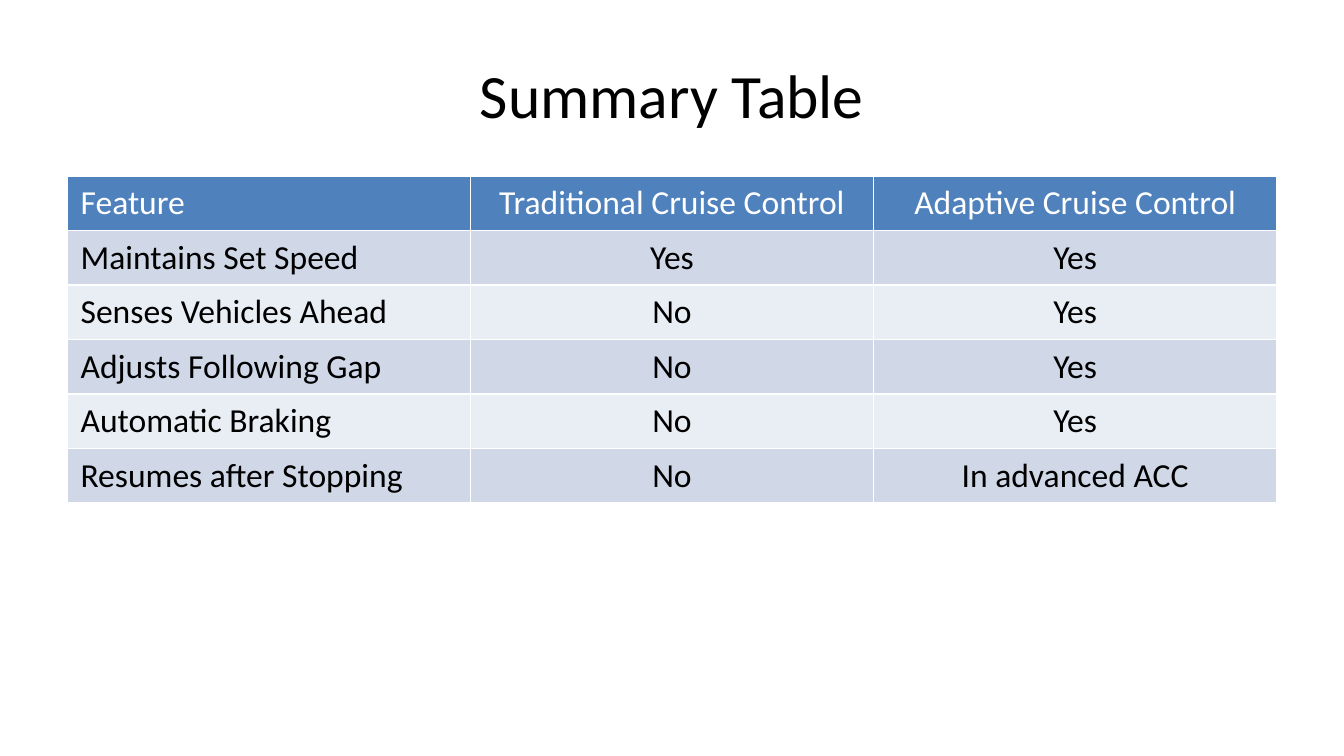
from lxml.etree import SubElement
from pptx import Presentation
from pptx.dml.color import RGBColor
from pptx.enum.text import MSO_ANCHOR as Anchor, PP_ALIGN as Align
from pptx.oxml.ns import qn
from pptx.util import Cm, Pt

BLACK = RGBColor(0x00, 0x00, 0x00)
WHITE = RGBColor(0xFF, 0xFF, 0xFF)
HEADER_BLUE = RGBColor(0x4F, 0x81, 0xBD)
BAND_DARK = RGBColor(0xD0, 0xD8, 0xE8)
BAND_LIGHT = RGBColor(0xE9, 0xED, 0xF4)

FEATURES = [
    ("Feature", "Traditional Cruise Control", "Adaptive Cruise Control"),
    ("Maintains Set Speed", "Yes", "Yes"),
    ("Senses Vehicles Ahead", "No", "Yes"),
    ("Adjusts Following Gap", "No", "Yes"),
    ("Automatic Braking", "No", "Yes"),
    ("Resumes after Stopping", "No", "In advanced ACC"),
]


class SlideBuilder:
    font_name = "Calibri"
    title_size = Pt(33)
    table_size = Pt(18)
    border_width = Pt(1)

    def __init__(self, slide):
        self.slide = slide

    def set_text(self, text_frame, text, size, color, align):
        paragraph = text_frame.paragraphs[0]
        paragraph.text = text
        paragraph.alignment = align
        font = paragraph.font
        font.name = self.font_name
        font.size = size
        font.bold = False
        font.color.rgb = color

    def title(self, text, left, top, width, height):
        text_frame = self.slide.shapes.add_textbox(left, top, width, height).text_frame
        text_frame.word_wrap = True
        text_frame.vertical_anchor = Anchor.MIDDLE
        self.set_text(text_frame, text, self.title_size, BLACK, Align.CENTER)

    def borders(self, cell):
        properties = cell._tc.get_or_add_tcPr()
        for side in ("a:lnL", "a:lnR", "a:lnT", "a:lnB"):
            line = SubElement(properties, qn(side), w=str(self.border_width))
            fill = SubElement(line, qn("a:solidFill"))
            SubElement(fill, qn("a:srgbClr"), val=str(WHITE))

    def table(self, rows, left, top, width, row_height):
        table = self.slide.shapes.add_table(
            len(rows), len(rows[0]), left, top, width, row_height * len(rows)
        ).table
        for row_index, row in enumerate(rows):
            is_header = row_index == 0
            band = BAND_DARK if row_index % 2 else BAND_LIGHT
            for column_index, text in enumerate(row):
                cell = table.cell(row_index, column_index)
                self.borders(cell)
                cell.fill.solid()
                cell.fill.fore_color.rgb = HEADER_BLUE if is_header else band
                self.set_text(
                    cell.text_frame,
                    text,
                    self.table_size,
                    WHITE if is_header else BLACK,
                    Align.CENTER if column_index else Align.LEFT,
                )


def main():
    presentation = Presentation()
    presentation.slide_width = Cm(25.4)
    presentation.slide_height = Cm(14.29)
    slide = presentation.slides.add_slide(presentation.slide_layouts[6])
    builder = SlideBuilder(slide)
    builder.title("Summary Table", Cm(1.27), Cm(0.58), Cm(22.86), Cm(2.39))
    builder.table(FEATURES, Cm(1.27), Cm(3.33), Cm(22.86), Cm(1.03))
    presentation.save("out.pptx")


if __name__ == "__main__":
    main()
